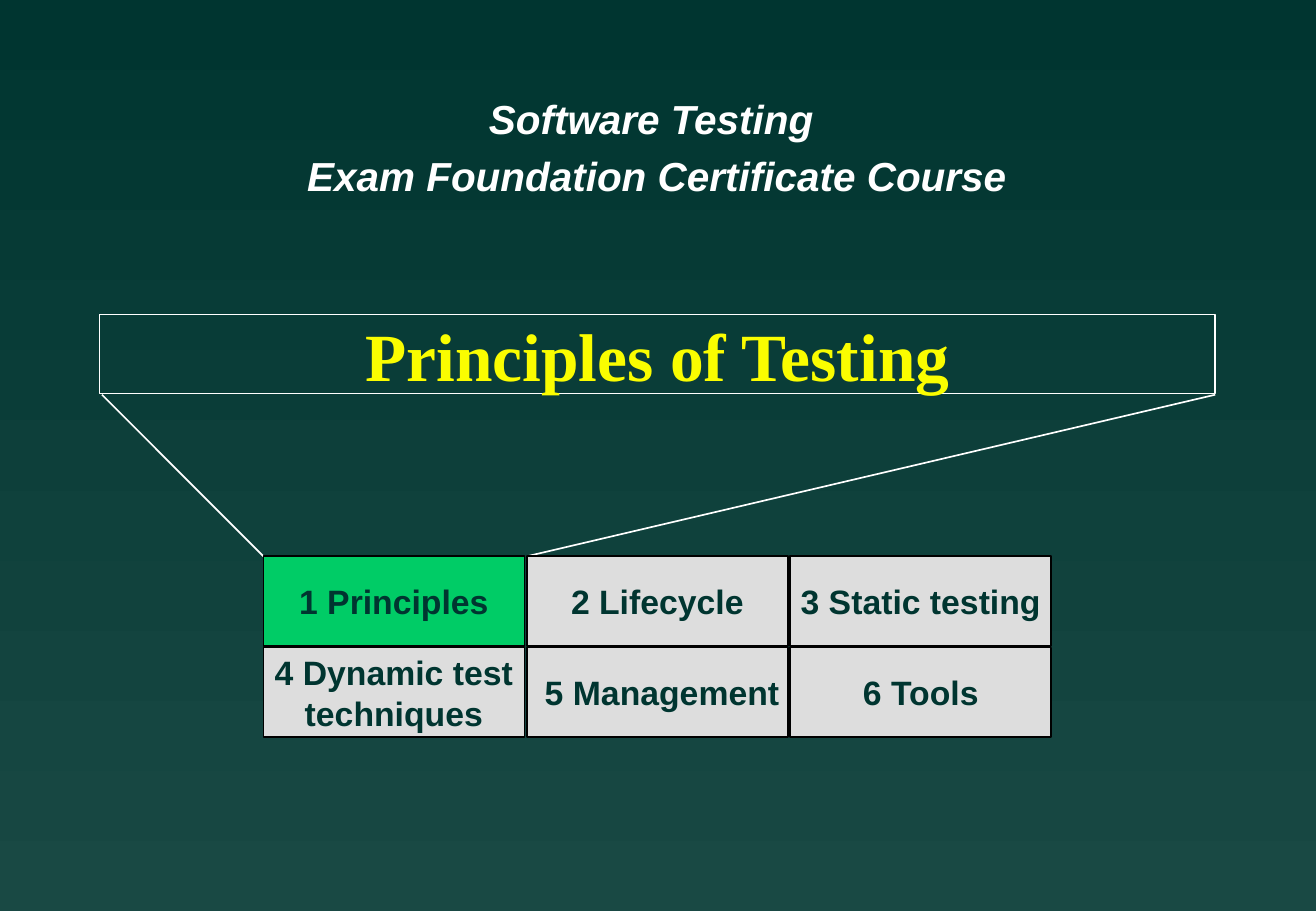
import pptx
import pptx.util
import pptx.dml.color
import pptx.enum.shapes
import pptx.enum.text
import lxml.etree

Inches, Pt = pptx.util.Inches, pptx.util.Pt
RGB = pptx.dml.color.RGBColor

COURSE = ["Software Testing ", "Exam Foundation Certificate Course"]
TITLE = "Principles of Testing"
TOPICS = [
    ["1 Principles", "2 Lifecycle", "3 Static testing"],
    ["4 Dynamic test\ntechniques", " 5 Management", "6 Tools"],
]
ACTIVE = TOPICS[0][0]

DARK = RGB(0x00, 0x35, 0x30)
TEAL = RGB(0x19, 0x49, 0x44)
WHITE = RGB(0xFF, 0xFF, 0xFF)
BLACK = RGB(0x00, 0x00, 0x00)
YELLOW = RGB(0xFA, 0xFD, 0x00)
GREEN = RGB(0x00, 0xCC, 0x66)
GREY = RGB(0xDD, 0xDD, 0xDD)

WIDE, HIGH = 10.84, 7.5
BAR = (0.82, 2.59, 9.19, 0.65)
HEAD = (1.92, 0.67, 6.98, 1)
LEFT, TOP = 2.17, 4.58
STEP_X, STEP_Y = 2.17, 0.75
CELL_W, CELL_H = 2.15, 0.74


def inches(*sizes):
    return [Inches(size) for size in sizes]


def write(para, text, size, color, face="Arial", slant=False):
    para.text = text
    para.alignment = pptx.enum.text.PP_ALIGN.CENTER
    for run in para.runs:
        font = run.font
        font.name, font.size, font.bold = face, Pt(size), True
        font.italic = slant
        font.color.rgb = color


def outline(shape, color):
    shape.line.color.rgb = color
    shape.line.width = Pt(1)


def ray(slide, start, end):
    """Draw a thin white line that ties the title bar to the active cell."""
    line = slide.shapes.add_connector(
        pptx.enum.shapes.MSO_CONNECTOR.STRAIGHT, *inches(*start, *end))
    outline(line, WHITE)
    props = line.element.spPr
    lxml.etree.SubElement(props, pptx.oxml.ns.qn("a:effectLst"))


def banner(slide):
    title = slide.shapes.title
    title.left, title.top, title.width, title.height = inches(*BAR)
    outline(title, WHITE)
    frame = title.text_frame
    frame.auto_size = pptx.enum.text.MSO_AUTO_SIZE.NONE
    frame.vertical_anchor = pptx.enum.text.MSO_ANCHOR.MIDDLE
    write(frame.paragraphs[0], TITLE, 40, YELLOW, "Times New Roman")


def cell(slide, row, col, text):
    box = slide.shapes.add_shape(
        pptx.enum.shapes.MSO_SHAPE.RECTANGLE,
        *inches(LEFT + col * STEP_X, TOP + row * STEP_Y, CELL_W, CELL_H))
    box.shadow.inherit = False
    box.fill.solid()
    box.fill.fore_color.rgb = GREEN if text == ACTIVE else GREY
    outline(box, BLACK)
    frame = box.text_frame
    frame.word_wrap = False
    frame.vertical_anchor = pptx.enum.text.MSO_ANCHOR.MIDDLE
    write(frame.paragraphs[0], text, 20, DARK)


def heading(slide):
    frame = slide.shapes.add_textbox(*inches(*HEAD)).text_frame
    frame.word_wrap = True
    frame.margin_left = frame.margin_right = Inches(0.07)
    frame.margin_top = frame.margin_bottom = Inches(0.03)
    frame.text = "\n".join(COURSE)
    for para, text in zip(frame.paragraphs, COURSE):
        write(para, text, 24, WHITE, slant=True)
        para.line_spacing = 1.18


def main():
    deck = pptx.Presentation()
    deck.slide_width, deck.slide_height = inches(WIDE, HIGH)
    slide = deck.slides.add_slide(deck.slide_layouts.get_by_name("Title Only"))

    fill = slide.background.fill
    fill.gradient()
    fill.gradient_angle = 270
    for stop, color, place in zip(fill.gradient_stops, (DARK, TEAL), (0, 1)):
        stop.color.rgb = color
        stop.position = place

    banner(slide)
    base = BAR[1] + BAR[3] + 0.01
    ray(slide, (BAR[0] + 0.02, base), (LEFT, TOP))
    ray(slide, (LEFT + STEP_X, TOP), (BAR[0] + BAR[2], base))
    for row, names in enumerate(TOPICS):
        for col, text in enumerate(names):
            cell(slide, row, col, text)
    heading(slide)
    deck.save("out.pptx")


if __name__ == "__main__":
    main()
